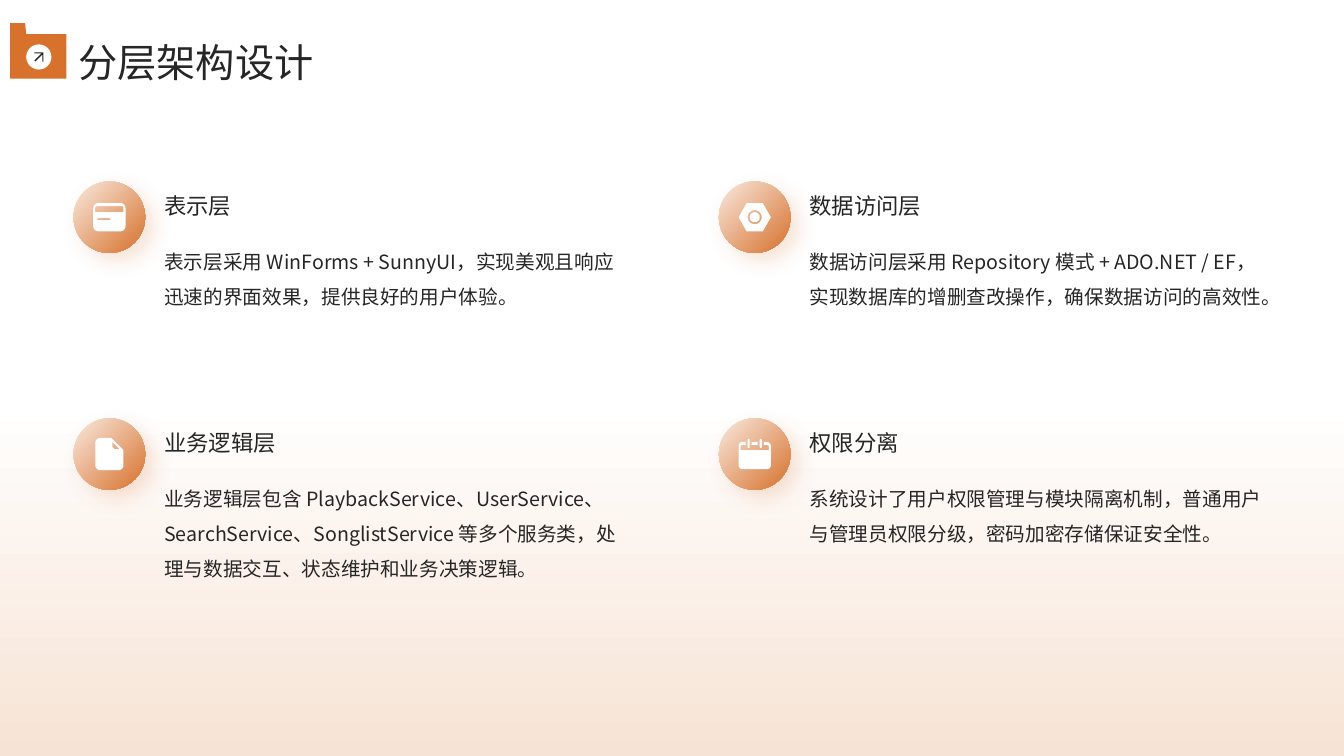
from math import cos, pi, sin

from lxml.etree import SubElement
from pptx import Presentation
from pptx.dml.color import RGBColor
from pptx.enum.shapes import MSO_SHAPE
from pptx.enum.text import MSO_ANCHOR
from pptx.oxml.ns import qn
from pptx.util import Inches, Pt

TITLE = "分层架构设计"
# Heading, description and icon, in reading order
LAYERS = [
    ("表示层",
     "表示层采用 WinForms + SunnyUI，实现美观且响应迅速的界面效果，提供良好的用户体验。",
     "card"),
    ("数据访问层",
     "数据访问层采用 Repository 模式 + ADO.NET / EF，实现数据库的增删查改操作，确保数据访问的高效性。",
     "nut"),
    ("业务逻辑层",
     "业务逻辑层包含 PlaybackService、UserService、SearchService、SonglistService 等多个服务类，"
     "处理与数据交互、状态维护和业务决策逻辑。",
     "file"),
    ("权限分离",
     "系统设计了用户权限管理与模块隔离机制，普通用户与管理员权限分级，密码加密存储保证安全性。",
     "calendar"),
]
COLORS = {"white": "FFFFFF", "peach": "F7E3D5", "orange": "D7712C", "ink": "262626"}
FONT = "Noto Sans CJK SC"
SLIDE_W, SLIDE_H = 13.33, 7.5
COLUMNS = 2
LEFT, TOP = 0.73, 1.8
COLUMN_PITCH, ROW_PITCH = 6.4, 2.35
BADGE = 0.71
TEXT_INDENT, TEXT_W = 0.9, 4.57


def arc(x, y, radius, start):
    """Points of a clockwise quarter circle, starting at an angle in degrees."""
    angles = [(start + step * 15) * pi / 180 for step in range(7)]
    return [(x + radius * cos(a), y + radius * sin(a)) for a in angles]


def rounded(left, top, right, bottom, upper=0.0, lower=0.0):
    """Outline of a box with radii for its upper and lower corners."""
    return (arc(left + upper, top + upper, upper, 180)
            + arc(right - upper, top + upper, upper, 270)
            + arc(right - lower, bottom - lower, lower, 0)
            + arc(left + lower, bottom - lower, lower, 90))


def circle(radius):
    return rounded(-radius, -radius, radius, radius, radius, radius)


def calendar():
    outlines = [rounded(-0.16, -0.12, 0.16, 0.15, 0.04, 0.04),
                rounded(-0.14, -0.09, 0.14, -0.04, 0.02)]
    for x in (-0.06, 0.06):
        outlines.append(rounded(x - 0.03, -0.12, x + 0.03, -0.09))
        outlines.append(rounded(x - 0.01, -0.15, x + 0.01, -0.06, 0.01, 0.01))
    return outlines


# Outlines around the badge centre; an outline inside another is a hole
ICONS = {
    "card": [rounded(-0.16, -0.14, 0.16, 0.14, 0.05, 0.05),
             rounded(-0.14, -0.11, 0.14, -0.05, 0.02),
             rounded(-0.12, 0.01, 0.01, 0.03, 0.01, 0.01)],
    "nut": [[(-0.08, -0.14), (0.08, -0.14), (0.16, 0), (0.08, 0.14), (-0.08, 0.14), (-0.16, 0)],
            circle(0.07), circle(0.05)],
    "file": [arc(-0.09, -0.11, 0.05, 180) + [(0.02, -0.16), (0.14, -0.04)]
             + arc(0.09, 0.11, 0.05, 0) + arc(-0.09, 0.11, 0.05, 90),
             [(0.03, -0.12), (0.03, -0.07), (0.05, -0.05), (0.1, -0.05)]],
    "calendar": calendar(),
}
FOLDER = [(0.1, 0.23), (0.25, 0.23), (0.26, 0.34), (0.66, 0.34), (0.66, 0.78), (0.1, 0.78)]
ARROW = [(0.34, 0.52), (0.43, 0.52), (0.43, 0.61), (0.42, 0.61), (0.42, 0.54),
         (0.35, 0.61), (0.34, 0.6), (0.41, 0.53), (0.34, 0.53)]


def rgb(name):
    return RGBColor.from_string(COLORS[name])


def finish(shape, color=None):
    shape.shadow.inherit = False
    shape.line.fill.background()
    if color:
        shape.fill.solid()
        shape.fill.fore_color.rgb = rgb(color)


def add_preset(slide, kind, left, top, width, height, color=None):
    shape = slide.shapes.add_shape(
        kind, Inches(left), Inches(top), Inches(width), Inches(height))
    finish(shape, color)
    return shape


def fill_gradient(shape, angle, *stops):
    """Linear gradient; the angle runs counter-clockwise."""
    shape.fill.gradient()
    shape.fill.gradient_angle = angle
    for stop, (position, color) in zip(shape.fill.gradient_stops, stops):
        stop.position = position
        stop.color.rgb = rgb(color)


def add_glow(shape):
    """Soft orange shadow toward the lower right."""
    effects = shape._element.spPr.find(qn("a:effectLst"))
    shadow = SubElement(effects, qn("a:outerShdw"), blurRad=str(Pt(15)), dist=str(Pt(8)),
                        dir="2700000", algn="tl", rotWithShape="0")
    color = SubElement(shadow, qn("a:srgbClr"), val=COLORS["orange"])
    SubElement(color, qn("a:alpha"), val="20000")


def add_outlines(slide, outlines, color, x=0.0, y=0.0):
    placed = [[(Inches(x + dx), Inches(y + dy)) for dx, dy in outline] for outline in outlines]
    builder = slide.shapes.build_freeform(*placed[0][0], scale=1.0)
    for index, points in enumerate(placed):
        if index:
            builder.move_to(*points[0])
        builder.add_line_segments(points[1:], close=True)
    finish(builder.convert_to_shape(), color)


def add_text(slide, text, left, top, width, height, size, spacing,
             anchor=MSO_ANCHOR.MIDDLE, inset=True):
    box = slide.shapes.add_textbox(Inches(left), Inches(top), Inches(width), Inches(height))
    frame = box.text_frame
    frame.word_wrap = True
    frame.vertical_anchor = anchor
    if not inset:
        frame.margin_left = frame.margin_top = frame.margin_right = frame.margin_bottom = 0
    paragraph = frame.paragraphs[0]
    paragraph.line_spacing = spacing
    run = paragraph.add_run()
    run.text = text
    run.font.size = Pt(size)
    run.font.color.rgb = rgb("ink")
    run.font.name = FONT
    SubElement(run._r.get_or_add_rPr(), qn("a:ea"), typeface=FONT)


def add_layer(slide, index, heading, description, icon):
    row, column = divmod(index, COLUMNS)
    left, top = LEFT + column * COLUMN_PITCH, TOP + row * ROW_PITCH
    badge = add_preset(slide, MSO_SHAPE.OVAL, left, top, BADGE, BADGE)
    fill_gradient(badge, 315, (0.06, "peach"), (1, "orange"))
    add_glow(badge)
    add_outlines(slide, ICONS[icon], "white", left + BADGE / 2, top + BADGE / 2)
    text_left = left + TEXT_INDENT
    add_text(slide, heading, text_left, top - 0.13, TEXT_W, 0.71,
             size=16, spacing=1.1, inset=False)
    add_text(slide, description, text_left, top + 0.56, TEXT_W, 1.68,
             size=14, spacing=1.5, anchor=MSO_ANCHOR.TOP, inset=False)


def main():
    deck = Presentation()
    deck.slide_width, deck.slide_height = Inches(SLIDE_W), Inches(SLIDE_H)
    slide = deck.slides.add_slide(deck.slide_layouts[6])
    backdrop = add_preset(slide, MSO_SHAPE.RECTANGLE, 0, 0, SLIDE_W, SLIDE_H)
    fill_gradient(backdrop, 270, (0.53, "white"), (1, "peach"))
    for index, layer in enumerate(LAYERS):
        add_layer(slide, index, *layer)
    add_text(slide, TITLE, 0.68, 0.26, 11.88, 0.56, size=28, spacing=1.3)
    add_outlines(slide, [FOLDER], "orange")
    add_preset(slide, MSO_SHAPE.OVAL, 0.26, 0.44, 0.25, 0.25, "white")
    add_outlines(slide, [ARROW], "ink")
    deck.save("out.pptx")


if __name__ == "__main__":
    main()
